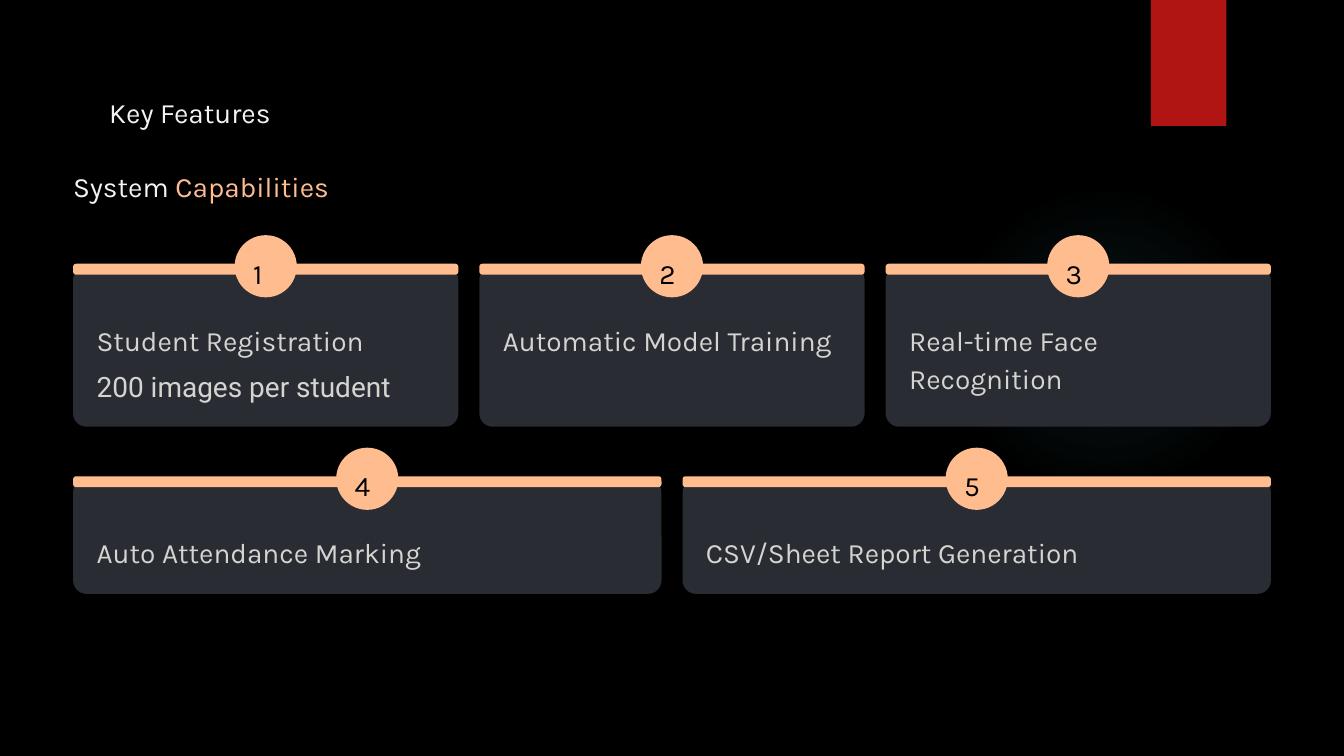
"""Build the key features slide with numbered capability cards."""
from dataclasses import dataclass

import pptx
import pptx.dml.color
import pptx.enum.shapes
import pptx.oxml
import pptx.oxml.ns
import pptx.util

Inches = pptx.util.Inches
Shape = pptx.enum.shapes.MSO_SHAPE


@dataclass(frozen=True)
class Theme:
    background: str = "000000"
    accent: str = "FFBC8F"
    ribbon: str = "B01513"
    card: str = "292C32"
    heading: str = "F3F3F2"
    body: str = "D4D4D1"
    number: str = "000000"
    glow: str = "50B9C1"
    font: str = "Karla"
    detail_font: str = "Roboto"
    size: float = 24


THEME = Theme()
LEFT, CONTENT_WIDTH, GAP = 0.87, 14.26, 0.25
BADGE, PADDING, RADIUS = 0.74, 0.28, 0.16
ROWS = [
    (3.14, 1.91, [("Student Registration", "200 images per student"),
                  ("Automatic Model Training", ""),
                  ("Real-time Face Recognition", "")]),
    (5.67, 1.37, [("Auto Attendance Marking", ""),
                  ("CSV/Sheet Report Generation", "")]),
]


def rgb(color):
    return pptx.dml.color.RGBColor.from_string(color)


def add_block(page, kind, left, top, width, height, color, rounding=None):
    block = page.shapes.add_shape(
        kind, Inches(left), Inches(top), Inches(width), Inches(height))
    block.shadow.inherit = False
    block.fill.solid()
    block.fill.fore_color.rgb = rgb(color)
    block.line.fill.background()
    if rounding is not None:
        block.adjustments[0] = rounding
    return block


def add_text(page, spans, left, top, width, height, *, spacing,
             font=THEME.font, size=THEME.size):
    box = page.shapes.add_textbox(
        Inches(left), Inches(top), Inches(width), Inches(height))
    frame = box.text_frame
    frame.word_wrap = True
    frame.margin_left = frame.margin_right = 0
    frame.margin_top = frame.margin_bottom = 0
    para = frame.paragraphs[0]
    para.line_spacing = pptx.util.Pt(spacing)
    for text, color in spans:
        span = para.add_run()
        span.text = text
        span.font.name = font
        span.font.size = pptx.util.Pt(size)
        span.font.color.rgb = rgb(color)


def add_glow(page, left, top, diameter):
    glow = add_block(page, Shape.OVAL, left, top, diameter, diameter, THEME.glow)
    stops = "".join(
        f'<a:gs pos="{position * 1000}"><a:srgbClr val="{THEME.glow}">'
        f'<a:alpha val="{alpha * 1000}"/></a:srgbClr></a:gs>'
        for position, alpha in [(0, 7), (36, 6), (69, 0)])
    gradient = pptx.oxml.parse_xml(
        f'<a:gradFill {pptx.oxml.ns.nsdecls("a")}><a:gsLst>{stops}</a:gsLst>'
        '<a:path path="circle"><a:fillToRect l="50000" t="50000" r="50000" b="50000"/>'
        '</a:path></a:gradFill>')
    properties = glow.element.spPr
    solid = properties.find(pptx.oxml.ns.qn("a:solidFill"))
    properties.replace(solid, gradient)


def add_card(page, number, title, detail, left, top, width, height):
    add_block(page, Shape.ROUNDED_RECTANGLE, left, top + 0.03, width, height,
              THEME.card, RADIUS / height)
    add_block(page, Shape.ROUNDED_RECTANGLE, left, top, width, 0.13,
              THEME.accent, 0.28)
    badge_left = left + (width - BADGE) / 2
    add_block(page, Shape.OVAL, badge_left, top - 0.34, BADGE, BADGE, THEME.accent)
    add_text(page, [(str(number), THEME.number)], badge_left + 0.22, top - 0.16,
             0.3, 0.37, spacing=34)
    text_left, text_width = left + PADDING, width - 2 * PADDING
    add_text(page, [(title, THEME.body)], text_left, top + 0.65,
             text_width, 0.47, spacing=33)
    if detail:
        add_text(page, [(detail, THEME.body)], text_left, top + 1.26,
                 text_width, 0.4, spacing=28.5, font=THEME.detail_font)


def add_cards(page):
    number = 1
    for top, height, cards in ROWS:
        width = (CONTENT_WIDTH - GAP * (len(cards) - 1)) / len(cards)
        for column, (title, detail) in enumerate(cards):
            left = LEFT + column * (width + GAP)
            add_card(page, number, title, detail, left, top, width, height)
            number += 1


def main():
    deck = pptx.Presentation()
    deck.slide_width, deck.slide_height = Inches(16), Inches(9)
    page = deck.slides.add_slide(deck.slide_layouts[6])
    page.background.fill.solid()
    page.background.fill.fore_color.rgb = rgb(THEME.background)
    add_glow(page, 11.3, 2.2, 3.7)
    add_block(page, Shape.RECTANGLE, 13.7, 0, 0.9, 1.5, THEME.ribbon)
    add_text(page, [("Key Features", THEME.heading)], 1.3, 1.16, 2.67, 0.4,
             spacing=27.5)
    add_text(page, [("System ", THEME.heading), ("Capabilities", THEME.accent)],
             LEFT, 1.65, 6.2, 0.78, spacing=55.5)
    add_cards(page)
    deck.save("out.pptx")


if __name__ == "__main__":
    main()
